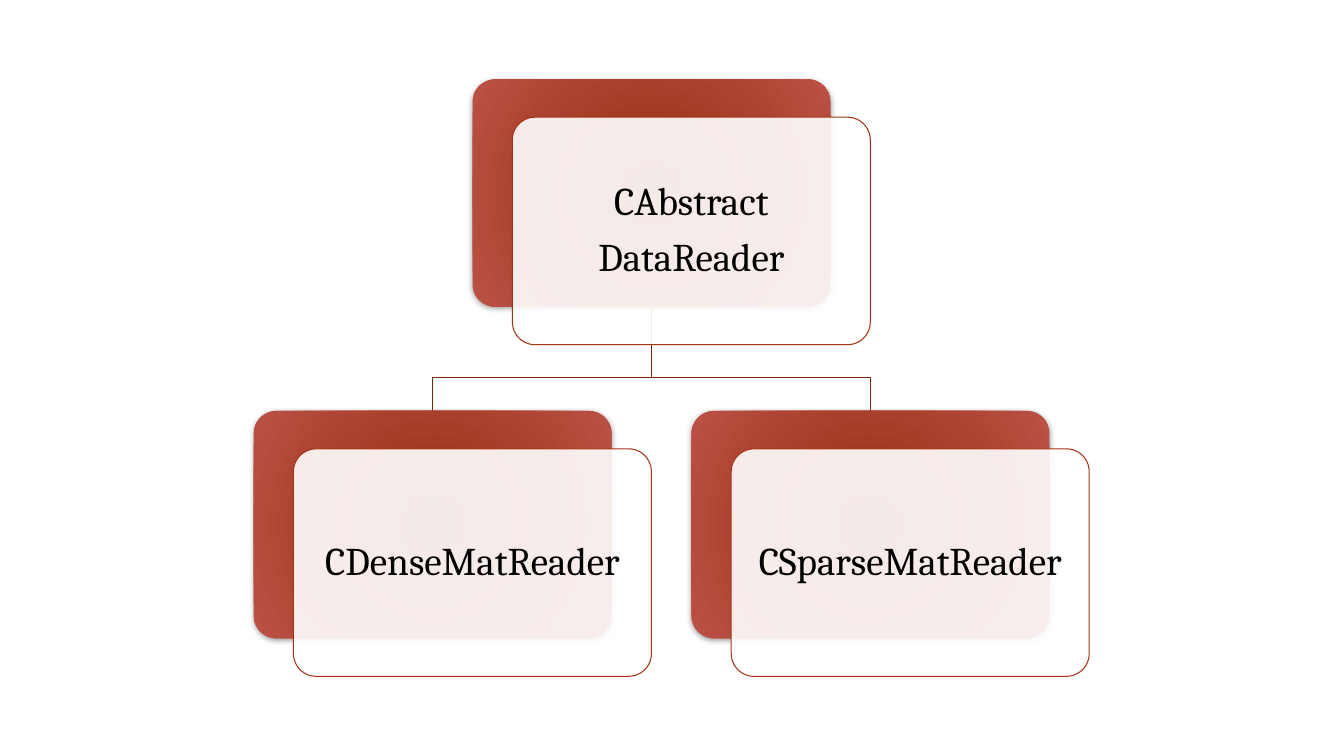
import pptx
import pptx.dml.color
import pptx.enum.shapes
import pptx.enum.text
import pptx.oxml
import pptx.oxml.ns
import pptx.util

Pt = pptx.util.Pt

PARENT = ["CAbstract", "DataReader"]
CHILDREN = [["CDenseMatReader"], ["CSparseMatReader"]]

FONT = "Cambria"
BLACK, WHITE = "000000", "FFFFFF"
CARD_LINE, BRANCH_LINE = "A63212", "85280E"
GRADIENT = ["952D10", "BA5145"]

SLIDE_WIDTH, SLIDE_HEIGHT = 960, 540
BOX_WIDTH, BOX_HEIGHT = 255.7, 162.5
CARD_SHIFT_X, CARD_SHIFT_Y = 28.4, 27.1
CHILD_LEFT, CHILD_STEP = 181.2, 312.7
PARENT_TOP, CHILD_TOP = 56.6, 293.5
BRANCH_Y = 269.8

NAMESPACE = pptx.oxml.ns.nsdecls("a")


def color(hex_value):
    return pptx.dml.color.RGBColor.from_string(hex_value)


def set_line(shape, hex_value):
    shape.line.color.rgb = color(hex_value)
    shape.line.width = Pt(0.75)


def add_rounded(slide, left, top):
    shape = slide.shapes.add_shape(
        pptx.enum.shapes.MSO_SHAPE.ROUNDED_RECTANGLE,
        Pt(left), Pt(top), Pt(BOX_WIDTH), Pt(BOX_HEIGHT))
    shape.adjustments[0] = 0.1
    shape.shadow.inherit = False
    return shape


def add_backing(slide, left, top):
    shape = add_rounded(slide, left, top)
    shape.line.fill.background()
    shape.fill.background()
    properties = shape._element.spPr
    stops = "".join(
        f'<a:gs pos="{position}"><a:srgbClr val="{value}"/></a:gs>'
        for position, value in zip((0, 100000), GRADIENT))
    gradient = pptx.oxml.parse_xml(
        f'<a:gradFill {NAMESPACE} rotWithShape="1"><a:gsLst>{stops}</a:gsLst>'
        '<a:path path="circle">'
        '<a:fillToRect l="40000" t="100000" r="40000" b="100000"/>'
        '</a:path></a:gradFill>')
    no_fill = properties.find(pptx.oxml.ns.qn("a:noFill"))
    properties.replace(no_fill, gradient)
    effects = properties.find(pptx.oxml.ns.qn("a:effectLst"))
    effects.append(pptx.oxml.parse_xml(
        f'<a:outerShdw {NAMESPACE} blurRad="{Pt(4)}" dist="{Pt(1)}" '
        f'dir="5400000" rotWithShape="0"><a:srgbClr val="{BLACK}">'
        '<a:alpha val="37000"/></a:srgbClr></a:outerShdw>'))


def add_card(slide, left, top, lines):
    shape = add_rounded(slide, left, top)
    shape.fill.solid()
    shape.fill.fore_color.rgb = color(WHITE)
    white = shape._element.spPr.find(".//" + pptx.oxml.ns.qn("a:srgbClr"))
    white.append(pptx.oxml.parse_xml(f'<a:alpha {NAMESPACE} val="90000"/>'))
    set_line(shape, CARD_LINE)
    frame = shape.text_frame
    frame.word_wrap = True
    frame.vertical_anchor = pptx.enum.text.MSO_ANCHOR.MIDDLE
    frame.margin_left = frame.margin_right = Pt(8.4)
    frame.margin_top = frame.margin_bottom = Pt(8.4)
    for index, line in enumerate(lines):
        paragraph = frame.add_paragraph() if index else frame.paragraphs[0]
        paragraph.alignment = pptx.enum.text.PP_ALIGN.CENTER
        paragraph.line_spacing = 0.9
        paragraph.space_after = Pt(10)
        run = paragraph.add_run()
        run.text = line
        run.font.name = FONT
        run.font.size = Pt(28)
        run.font.color.rgb = color(BLACK)


def add_node(slide, left, top, lines):
    add_backing(slide, left, top)
    add_card(slide, left + CARD_SHIFT_X, top + CARD_SHIFT_Y, lines)


def add_branch(slide, parent_x, child_x):
    builder = slide.shapes.build_freeform(
        Pt(parent_x), Pt(PARENT_TOP + BOX_HEIGHT))
    builder.add_line_segments(
        [(Pt(parent_x), Pt(BRANCH_Y)), (Pt(child_x), Pt(BRANCH_Y)),
         (Pt(child_x), Pt(CHILD_TOP))], close=False)
    branch = builder.convert_to_shape()
    branch.shadow.inherit = False
    branch.fill.background()
    set_line(branch, BRANCH_LINE)


def main():
    presentation = pptx.Presentation()
    presentation.slide_width = Pt(SLIDE_WIDTH)
    presentation.slide_height = Pt(SLIDE_HEIGHT)
    slide = presentation.slides.add_slide(presentation.slide_layouts[6])

    child_lefts = [CHILD_LEFT + CHILD_STEP * i for i in range(len(CHILDREN))]
    parent_left = sum(child_lefts) / len(child_lefts)
    half = BOX_WIDTH / 2
    for left in child_lefts:
        add_branch(slide, parent_left + half, left + half)
    add_node(slide, parent_left, PARENT_TOP, PARENT)
    for left, lines in zip(child_lefts, CHILDREN):
        add_node(slide, left, CHILD_TOP, lines)

    presentation.save("out.pptx")


if __name__ == "__main__":
    main()
